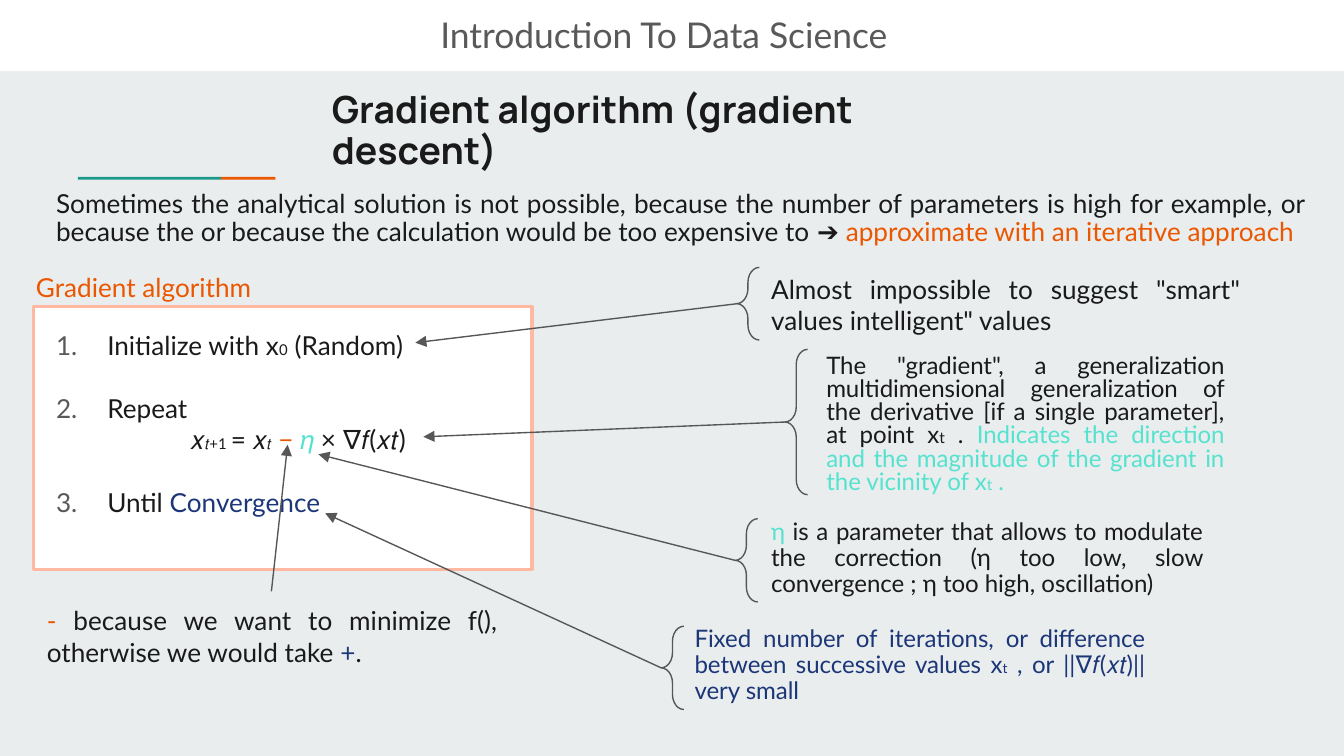
from lxml import etree
from pptx import Presentation
from pptx.dml.color import RGBColor
from pptx.enum import shapes as es, text as et
from pptx.oxml.ns import qn
from pptx.util import Pt

INK = RGBColor(0x1A, 0x1A, 0x1A)
GRAY = RGBColor(0x59, 0x59, 0x59)
LINE = RGBColor(0x57, 0x57, 0x57)
WHITE = RGBColor(0xFF, 0xFF, 0xFF)
BACK = RGBColor(0xE9, 0xED, 0xEE)
RED = RGBColor(0xEB, 0x56, 0x00)
PINK = RGBColor(0xFF, 0xB8, 0xA2)
TEAL = RGBColor(0x1A, 0x99, 0x88)
MINT = RGBColor(0x55, 0xE2, 0xCF)
NAVY = RGBColor(0x1C, 0x36, 0x78)

# Content: a run is (text, size, colour)
TITLE = [("Gradient algorithm (gradient descent)", 20, INK)]
COURSE = [("Introduction To Data Science", 19, GRAY)]

# Notes: box, line spacing, runs
NOTES = [
    ((23, 95, 684, 45.4), 0.9, [
        ("Sometimes the analytical solution is not possible, because the number of "
         "parameters is high for example, or because the or because the calculation "
         "would be too expensive to ➔ ", 14, INK),
        ("approximate with an iterative approach", 14, RED)]),
    ((406, 139, 265.7, 57), 1, [
        ('Almost impossible to suggest "smart" values intelligent" values', 14, INK)]),
    ((435.6, 183.6, 227.5, 96.5), 0.8, [
        ('The "gradient", a generalization multidimensional generalization of the '
         "derivative [if a single parameter], at point x", 12.9, INK),
        ("t", 8.3, INK), (" . ", 12.9, INK),
        ("Indicates the direction and the magnitude of the gradient in the "
         "vicinity of x", 12.9, MINT),
        ("t", 8.3, MINT), (" .", 12.9, MINT)]),
    ((406, 271.4, 245.5, 57), 0.9, [
        ("η", 12.9, MINT),
        (" is a parameter that allows to modulate the correction (η too low, slow "
         "convergence ; η too high, oscillation)", 12.9, INK)]),
    ((365, 328.3, 255.6, 58.3), 0.9, [
        ("Fixed number of iterations, or difference between successive values x",
         12.9, NAVY),
        ("t", 7.4, NAVY), (" , or ||∇𝑓(𝑥𝑡)|| very small", 12.9, NAVY)]),
    ((18, 316.8, 255.6, 58.3), 1, [
        ("-", 14, RED),
        (" because we want to minimize f(), otherwise we would take ", 14, INK),
        ("+", 14, NAVY), (".", 14, INK)]),
    ((12.2, 138.2, 255.6, 58.3), 1, [("Gradient algorithm", 14, RED)]),
]

# Steps: number (None for the formula), runs
STEPS = [
    (1, [("Initialize with x", 14, INK), ("0", 8, INK), (" (Random)", 14, INK)]),
    (2, [("Repeat", 14, INK)]),
    (None, [("𝑥", 14, INK), ("𝑡+1 ", 8, INK), ("= 𝑥", 14, INK), ("𝑡", 8, INK),
            (" ", 14, INK), ("− ", 14, RED), ("𝜂", 14, MINT),
            (" × ∇𝑓(𝑥𝑡)", 14, INK)]),
    (3, [("Until ", 14, INK), ("Convergence ", 14, NAVY)]),
]

# Braces: left, top, height, and the spot their arrow points at
BRACES = [
    (394.6, 143.3, 38.9, (222.5, 183.6)),
    (420.5, 187.2, 77.8, (226.8, 234)),
    (393.8, 277.9, 44.6, (170.6, 243.4)),
    (354.2, 335.5, 44.6, (174.2, 275)),
]
MINUS = ((145.4, 316.8), (154.1, 238.3))

deck = Presentation()
deck.slide_width, deck.slide_height = Pt(720), Pt(405)
slide = deck.slides.add_slide(deck.slide_layouts[5])
slide.background.fill.solid()
slide.background.fill.fore_color.rgb = BACK
items = slide.shapes


def shape(kind, box, fill=None, line=None, width=0.75):
    s = items.add_shape(kind, *map(Pt, box))
    s.shadow.inherit = False
    if fill is None:
        s.fill.background()
    else:
        s.fill.solid()
        s.fill.fore_color.rgb = fill
    if line is None:
        s.line.fill.background()
    else:
        s.line.color.rgb, s.line.width = line, Pt(width)
    return s


def write(para, runs, font="Lato", bold=False, **form):
    for key, val in form.items():
        setattr(para, key, val)
    for words, size, color in runs:
        run = para.add_run()
        run.text = words
        look = {"name": font, "size": Pt(size), "bold": bold}
        for key, val in look.items():
            setattr(run.font, key, val)
        run.font.color.rgb = color


def frame(s):
    look = {"word_wrap": True, "auto_size": et.MSO_AUTO_SIZE.NONE,
            "vertical_anchor": et.MSO_ANCHOR.TOP}
    look.update({"margin_" + side: Pt(7.2)
                 for side in ("left", "top", "right", "bottom")})
    for key, val in look.items():
        setattr(s.text_frame, key, val)
    return s.text_frame


def label(box):
    return frame(items.add_textbox(*map(Pt, box)))


def number(para, start):
    props = para._p.get_or_add_pPr()
    color = etree.SubElement(props, qn("a:buClr"))
    etree.SubElement(color, qn("a:srgbClr"), val=str(GRAY))
    etree.SubElement(props, qn("a:buFont"), typeface="Lato")
    etree.SubElement(props, qn("a:buAutoNum"), type="arabicPeriod", startAt=str(start))


def arrow(start, end):
    c = items.add_connector(es.MSO_CONNECTOR.STRAIGHT, *map(Pt, start + end))
    c.line.color.rgb, c.line.width = LINE, Pt(0.75)
    etree.SubElement(c.line._get_or_add_ln(), qn("a:tailEnd"), type="triangle")
    etree.SubElement(c._element.spPr, qn("a:effectLst"))


# Header band and accent bar
RECT = es.MSO_SHAPE.RECTANGLE
ALIGN = et.PP_ALIGN
shape(RECT, (0, 0, 720, 38.2), WHITE)
shape(RECT, (118.4, 94.7, 29.2, 1.5), RED)
shape(RECT, (41.8, 94.7, 76.6, 1.5), TEAL)

# Title and course name
title = items.title
title.left, title.top, title.width, title.height = map(Pt, (170.6, 41.8, 378.7, 46))
write(frame(title).paragraphs[0], TITLE, "Manrope", True,
      alignment=ALIGN.LEFT, line_spacing=0.9)
write(label((222.5, 0, 266.4, 55.4)).paragraphs[0], COURSE, alignment=ALIGN.CENTER)

# Algorithm panel
shape(RECT, (18, 164.2, 267, 141), WHITE, PINK, 2)
panel = label((23, 169.2, 254.9, 128.2))
for i, (num, runs) in enumerate(STEPS):
    para = panel.paragraphs[0] if i == 0 else panel.add_paragraph()
    gap = 16.8 if num and i else 0
    write(para, runs, alignment=ALIGN.JUSTIFY, space_before=Pt(gap))
    props = para._p.get_or_add_pPr()
    left, hang = (27.4, -27.4) if num else (72, 0)
    props.set("marL", str(Pt(left)))
    props.set("indent", str(Pt(hang)))
    if num:
        number(para, num)

# Notes
for box, space, runs in NOTES:
    write(label(box).paragraphs[0], runs, alignment=ALIGN.JUSTIFY, line_spacing=space)

# Braces, each with an arrow from its tip
for left, top, high, spot in BRACES:
    brace = shape(es.MSO_SHAPE.LEFT_BRACE, (left, top, 12.2, high), line=LINE)
    brace.adjustments[0], brace.adjustments[1] = 0.66, 0.5
    arrow((left, top + high / 2), spot)
arrow(*MINUS)

deck.save("out.pptx")
